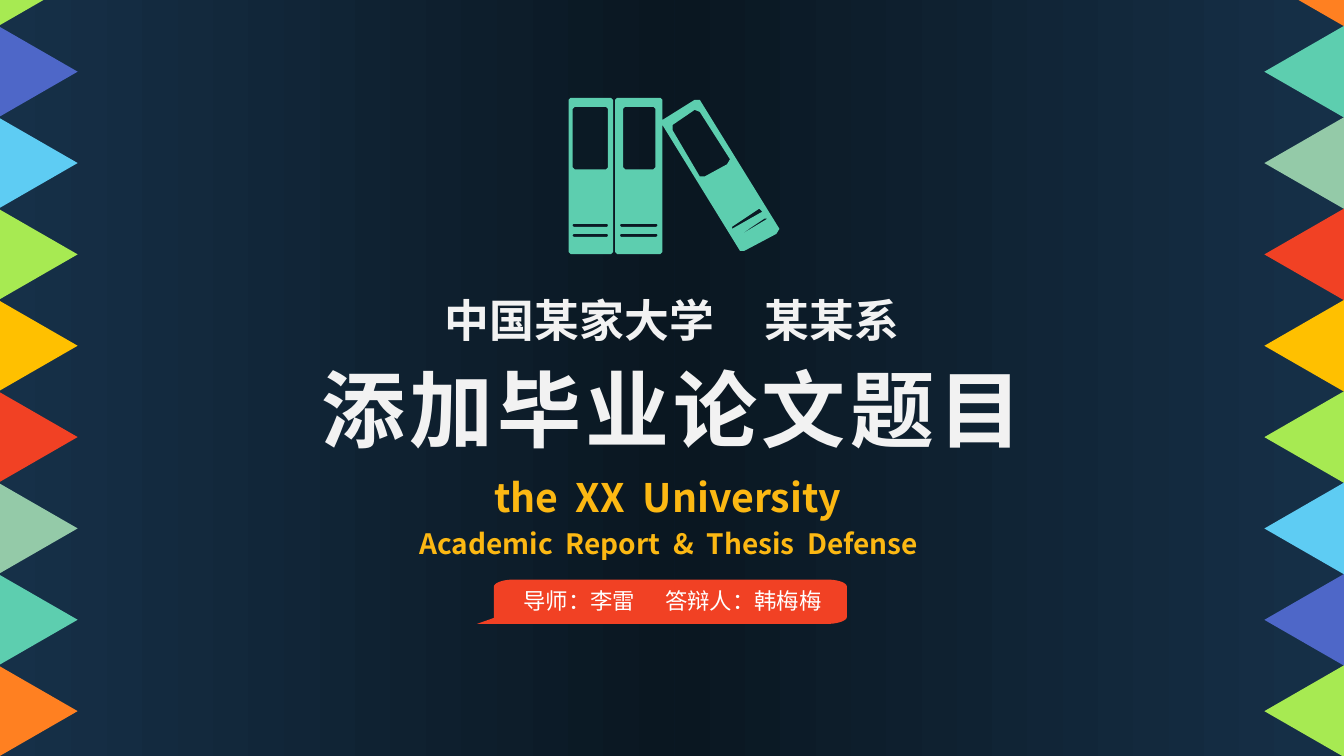
from math import cos, radians, sin

from lxml.etree import SubElement
from pptx import Presentation
from pptx.dml.color import RGBColor
from pptx.enum.dml import MSO_PATTERN
from pptx.enum.shapes import MSO_SHAPE
from pptx.enum.text import MSO_AUTO_SIZE, PP_ALIGN
from pptx.oxml.ns import qn
from pptx.util import Inches, Pt

FONT = "Noto Sans CJK SC"
SPACE_EM = 0.224
NAVY = RGBColor(0x16, 0x30, 0x48)
MIDNIGHT = RGBColor(0x0A, 0x17, 0x21)
WHITE = RGBColor(0xFF, 0xFF, 0xFF)
OFF_WHITE = RGBColor(0xF2, 0xF2, 0xF2)
GOLD = RGBColor(0xFC, 0xB8, 0x13)
LIME = RGBColor(0xA7, 0xEA, 0x52)
INDIGO = RGBColor(0x4E, 0x67, 0xC8)
SKY = RGBColor(0x5E, 0xCC, 0xF3)
AMBER = RGBColor(0xFF, 0xC0, 0x00)
RED = RGBColor(0xF1, 0x41, 0x24)
SAGE = RGBColor(0x94, 0xCA, 0xA8)
TEAL = RGBColor(0x5D, 0xCE, 0xAF)
ORANGE = RGBColor(0xFF, 0x80, 0x21)
PENNANTS = [LIME, INDIGO, SKY, LIME, AMBER, RED, SAGE, TEAL, ORANGE]

TILTED_BOOK = [
    [(6.94, 0.99), (7.73, 2.27), (7.7, 2.32), (7.38, 2.49), (7.34, 2.49),
     (6.57, 1.24), (6.57, 1.19), (6.89, 0.99)],
    [(6.94, 1.11), (7.24, 1.58), (7.21, 1.63), (6.99, 1.75), (6.94, 1.75),
     (6.67, 1.29), (6.67, 1.24), (6.89, 1.09)],
    [(7.26, 2.25), (7.53, 2.07), (7.56, 2.1), (7.26, 2.27)],
    [(7.31, 2.35), (7.58, 2.17), (7.61, 2.17)],
]


def finish(shape, color):
    shape.fill.solid()
    shape.fill.fore_color.rgb = color
    shape.line.fill.background()
    shape.shadow.inherit = False


def add_backdrop_half(slide, left, width, rotation):
    half = slide.shapes.add_shape(
        MSO_SHAPE.RECTANGLE, Inches(left), 0, Inches(width), Inches(7.5))
    half.rotation = rotation
    half.fill.gradient()
    half.fill.gradient_angle = 0
    for stop, color, position in zip(
            half.fill.gradient_stops, (NAVY, MIDNIGHT), (0, 1)):
        stop.color.rgb = color
        stop.position = position
    half.line.fill.background()
    half.shadow.inherit = False


def add_pennants(slide, left, rotation, colors):
    edge = slide.shapes.add_group_shape()
    pitch = 7.25 / (len(colors) - 1)
    for row, color in enumerate(colors):
        pennant = edge.shapes.add_shape(
            MSO_SHAPE.ISOSCELES_TRIANGLE, Inches(left),
            Inches(-0.59 + row * pitch), Inches(0.91), Inches(0.79))
        pennant.rotation = rotation
        finish(pennant, color)


def add_outline(slide, contours, color):
    builder = None
    for contour in contours:
        points = [(Inches(x), Inches(y)) for x, y in contour]
        if builder is None:
            builder = slide.shapes.build_freeform(*points[0])
        else:
            builder.move_to(*points[0])
        builder.add_line_segments(points[1:], close=True)
    finish(builder.convert_to_shape(), color)


def chamfered(left, top, right, bottom, cut=0.02):
    return [(left + cut, top), (right - cut, top), (right, top + cut),
            (right, bottom - cut), (right - cut, bottom), (left + cut, bottom),
            (left, bottom - cut), (left, top + cut)]


def upright_book(cover, label, stripe):
    stripes = [chamfered(stripe[0], top, stripe[1], top + 0.03, 0.01)
               for top in (2.22, 2.32)]
    return [chamfered(cover[0], 0.97, cover[1], 2.52),
            chamfered(label[0], 1.06, label[1], 1.68), *stripes]


def corner(x, y, start):
    angles = [radians(start + step * 10) for step in range(10)]
    return [(x + 0.2 * cos(a), y + 0.07 * sin(a)) for a in angles]


def add_books(slide):
    first = upright_book((5.64, 6.08), (5.68, 6.03), (5.68, 6.03))
    second = upright_book((6.1, 6.57), (6.18, 6.5), (6.15, 6.52))
    add_outline(slide, first + second + TILTED_BOOK, TEAL)


def add_bubble(slide):
    bubble = (corner(5.1, 5.82, 180) + corner(8.2, 5.82, 270)
              + corner(8.2, 6.12, 0) + [(4.73, 6.19), (4.9, 6.13)])
    add_outline(slide, [bubble], RED)


def add_run(paragraph, text, size, color, bold, spacing):
    run = paragraph.add_run()
    run.text = text
    run.font.size = Pt(size)
    run.font.bold = bold
    run.font.name = FONT
    run.font.color.rgb = color
    properties = run._r.get_or_add_rPr()
    SubElement(properties, qn("a:ea")).set("typeface", FONT)
    if spacing:
        properties.set("spc", str(round(spacing * 100)))


def add_words(paragraph, words, size, color, bold=True, spacing=0, gap=1):
    for index, word in enumerate(words):
        if index:
            add_run(paragraph, " ", size, color, bold,
                    (gap - 1) * SPACE_EM * size)
        if word:
            add_run(paragraph, word, size, color, bold, spacing)


def add_text(slide, left, top, width, height, lines, wrap=True,
             line_spacing=None):
    box = slide.shapes.add_textbox(
        Inches(left), Inches(top), Inches(width), Inches(height))
    frame = box.text_frame
    frame.word_wrap = wrap
    frame.auto_size = MSO_AUTO_SIZE.SHAPE_TO_FIT_TEXT
    for index, line in enumerate(lines):
        paragraph = frame.add_paragraph() if index else frame.paragraphs[0]
        paragraph.alignment = PP_ALIGN.CENTER
        paragraph.line_spacing = line_spacing
        add_words(paragraph, **line)


def main():
    deck = Presentation()
    deck.slide_width, deck.slide_height = Inches(13.33), Inches(7.5)
    slide = deck.slides.add_slide(deck.slide_layouts[6])
    backdrop = slide.background.fill
    backdrop.patterned()
    backdrop.pattern = MSO_PATTERN.LIGHT_UPWARD_DIAGONAL
    backdrop.fore_color.rgb = WHITE
    backdrop.back_color.rgb = OFF_WHITE
    add_backdrop_half(slide, 6.69, 6.65, 180)
    add_backdrop_half(slide, 0, 6.69, 0)

    add_text(slide, 4.21, 2.86, 4.91, 0.64, [
        dict(words=["中国某家大学", "某某系"], size=32, color=OFF_WHITE, gap=5),
    ], wrap=False)
    add_text(slide, 3.03, 3.5, 7.27, 1.11, [
        dict(words=["添加毕业论文题目"], size=60, color=OFF_WHITE, spacing=3),
    ], wrap=False)
    add_text(slide, 3.33, 4.55, 6.67, 1.04, [
        dict(words=["the", "XX", "University", ""],
             size=28, color=GOLD, gap=2),
        dict(words=["Academic", "Report", "&", "Thesis", "Defense", ""],
             size=20, color=GOLD, gap=2),
    ], line_spacing=1.2)

    add_bubble(slide)
    add_pennants(slide, 12.48, 270, PENNANTS[::-1])
    add_pennants(slide, -0.08, 90, PENNANTS)
    add_books(slide)
    add_text(slide, 4.68, 5.78, 3.98, 0.37, [
        dict(words=["导师：李雷", "答辩人：韩梅梅"],
             size=16, color=WHITE, bold=False, gap=6),
    ])
    deck.save("out.pptx")


main()
